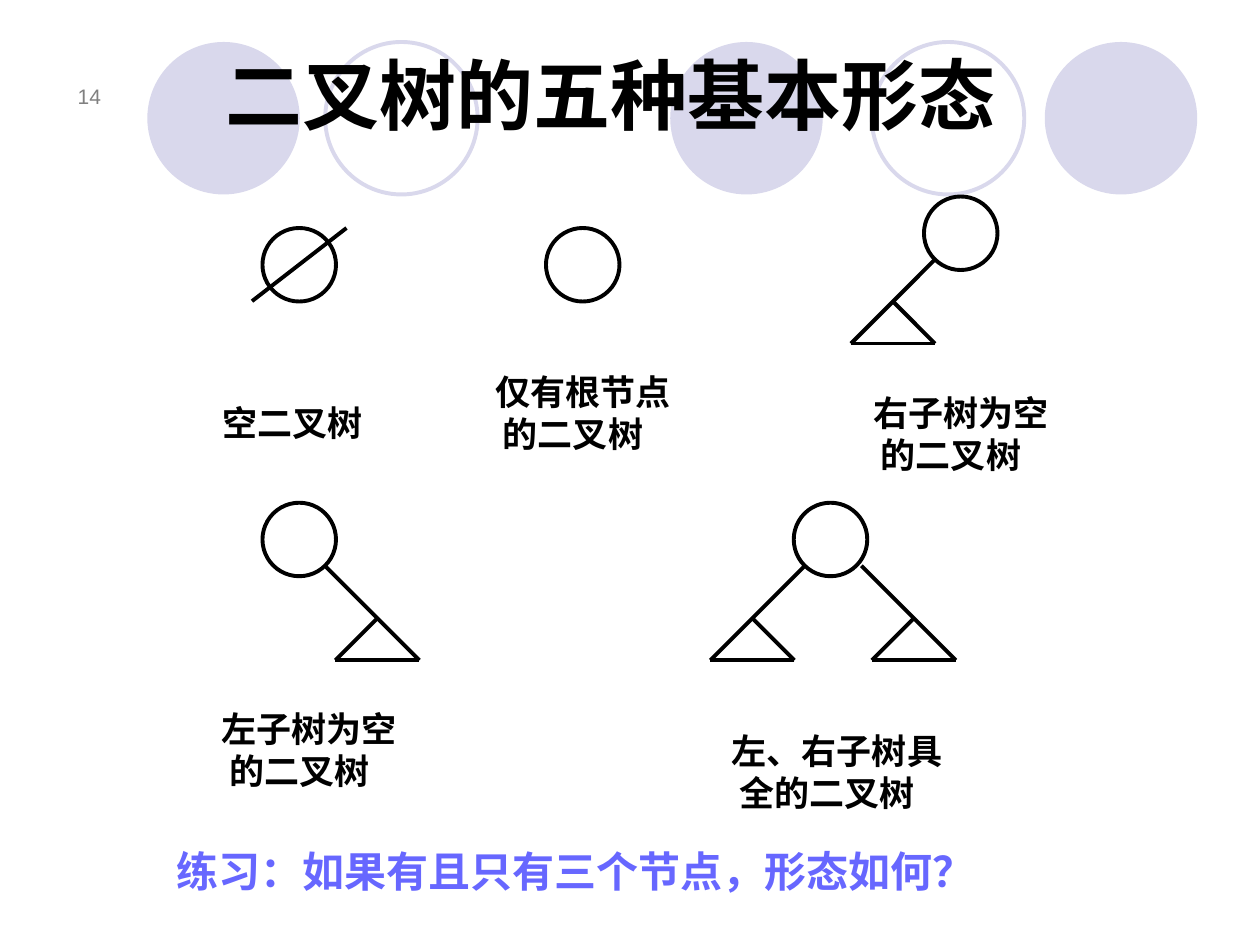
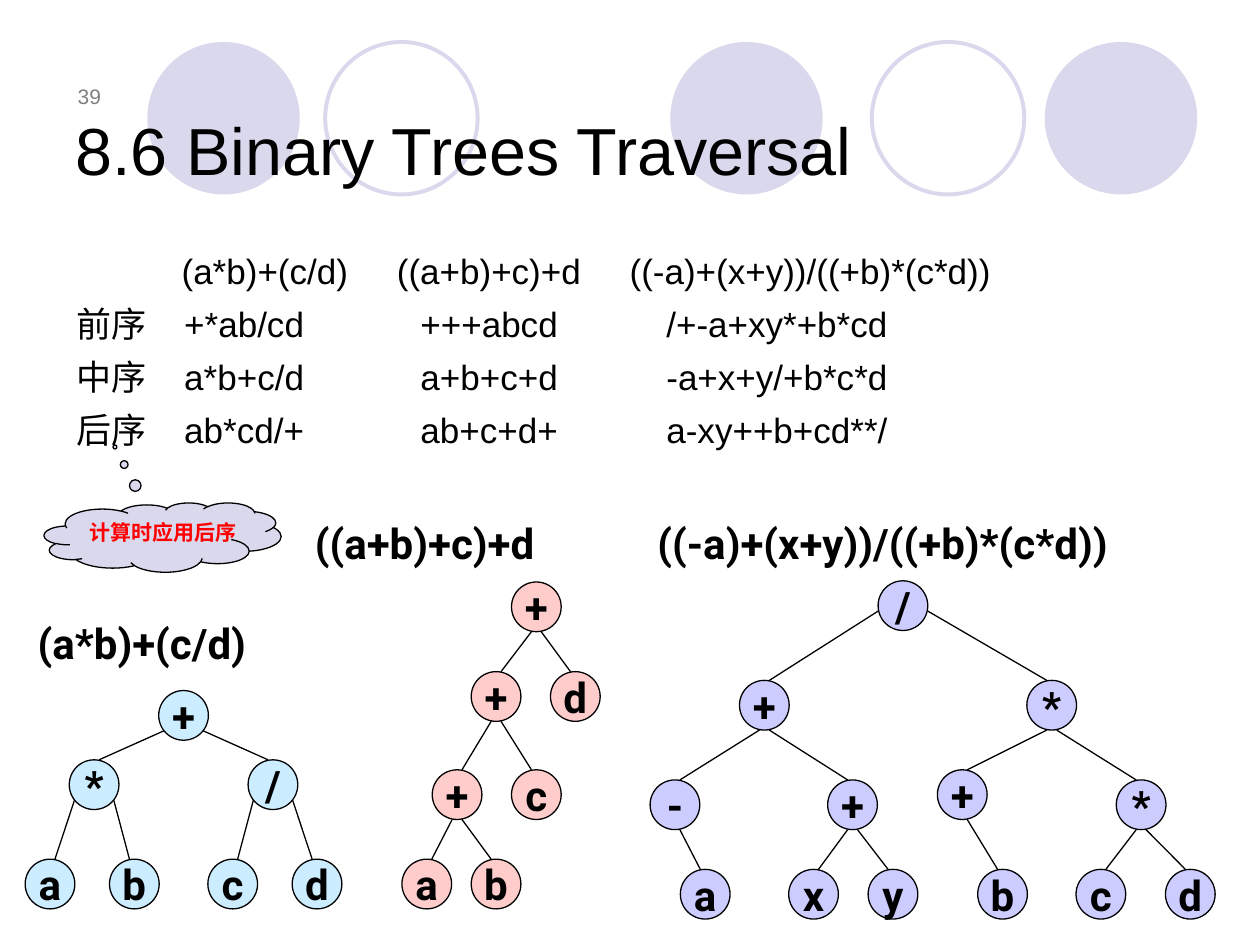
import pptx
import pptx.util
import pptx.dml.color
import pptx.enum.shapes
import pptx.enum.text
import pptx.oxml.ns
import lxml.etree

Pt = pptx.util.Pt
KIND = pptx.enum.shapes.MSO_SHAPE
ALIGN = pptx.enum.text.PP_ALIGN
ANCHOR = pptx.enum.text.MSO_ANCHOR
qn = pptx.oxml.ns.qn

# Shared look
BLACK, LILAC, GREY, BLUE, RED = "000000", "D9D8EC", "808080", "6767FF", "FF0000"
HAN, SANS, BOLD = "Noto Sans CJK SC", "Arial", "Roboto"
BAND = [(383, True), (597, True), (84.2, True), (498.2, False), (185.8, False)]
DISC, ROOT, NODE = 87.1, 42, 28.4

# Slide 1: root (left, top), branches (side, gap, length), label box, lines
FORMS = [
    ((150, 130.3), [], (120.2, 226, 102), ["空二叉树"]),
    ((312, 130.3), [], (275.8, 208, 138), ["仅有根节点", "的二叉树"]),
    ((528, 112.3), [(-1, 14.7, 48)], (491.8, 220.3, 150), ["右子树为空", "的二叉树"]),
    ((150, 287.3), [(1, 14.7, 54)], (119.5, 401, 144), ["左子树为空", "的二叉树"]),
    ((453.6, 287.3), [(-1, 14.7, 54), (1, 17.6, 54)], (411.1, 413.3, 144),
     ["左、右子树具", "全的二叉树"]),
]
SLASH = (198, 130.3, 144, 172.1)
TASK = "练习：如果有且只有三个节点，形态如何？"

# Slide 2: traversal orders, with the tab stops of each row
HEAD = ["", "(a*b)+(c/d)", "((a+b)+c)+d", "((-a)+(x+y))/((+b)*(c*d))"]
ROWS = [
    ["前序", "+*ab/cd", "+++abcd", "/+-a+xy*+b*cd"],
    ["中序", "a*b+c/d", "a+b+c+d", "-a+x+y/+b*c*d"],
    ["后序", "ab*cd/+", "ab+c+d+", "a-xy++b+cd**/"],
]
HEADTABS, ROWTABS = (60, 183, 316), (61.5, 196.5, 337)
HINT = "计算时应用后序"

# Trees: title box, fill, reach of root and of the rest,
# nodes as (label, left, top, index of parent)
TREES = [
    (HEAD[1], (14.4, 349.2, 167), "CCECFF", (11.2, 23), (11.2, 23), [
        ("+", 90.7, 394.6, None), ("*", 39.6, 434.2, 0), ("/", 141.8, 434.2, 0),
        ("a", 14.4, 491, 1), ("b", 62.6, 491, 1),
        ("c", 118.8, 491, 2), ("d", 167, 491, 2)]),
    (HEAD[2], (172.8, 292.3, 178.6), "FFCCCC", (2.8, NODE), (2.8, NODE), [
        ("+", 292.3, 332.6, None), ("+", 269.3, 383.8, 0), ("d", 314.6, 383.8, 0),
        ("+", 247, 439.9, 1), ("c", 292.3, 439.9, 1),
        ("a", 229.7, 491, 3), ("b", 269.3, 491, 3)]),
    (HEAD[3], (368.6, 292.3, 351.4), "CCCCFF", (14.2, 17.3), (2.8, NODE), [
        ("/", 501.8, 331.9, None), ("+", 422.6, 388.8, 0), ("*", 586.8, 388.8, 0),
        ("-", 371.5, 445.7, 1), ("+", 473, 445.7, 1),
        ("+", 535.7, 439.9, 2), ("*", 637.9, 445.7, 2),
        ("a", 388.8, 496.8, 3), ("x", 450.7, 496.8, 4), ("y", 496.1, 496.8, 4),
        ("b", 558.7, 496.8, 5), ("c", 614.9, 496.8, 6), ("d", 666, 496.8, 6)]),
]


def rgb(code):
    return pptx.dml.color.RGBColor.from_string(code)


def style(para, size, font, color, bold=False, han=False):
    for run in para.runs:
        run.font.size, run.font.name, run.font.bold = Pt(size), font, bold
        run.font.color.rgb = rgb(color)
        if han:
            east = lxml.etree.SubElement(run.font._element, qn("a:ea"))
            east.set("typeface", HAN)
    if han:
        para.line_spacing = Pt(1.2 * size)


def text(slide, box, lines, size, font, color=BLACK, bold=False, han=False,
         anchor=ANCHOR.TOP, align=ALIGN.LEFT):
    frame = slide.shapes.add_textbox(*map(Pt, box)).text_frame
    frame.word_wrap, frame.vertical_anchor = True, anchor
    frame.text = "\n".join(lines)
    for para in frame.paragraphs:
        para.alignment = align
        style(para, size, font, color, bold, han)
    return frame


def shape(slide, kind, box, fill=None, edge=None, width=0.75):
    part = slide.shapes.add_shape(kind, *map(Pt, box))
    part.shadow.inherit = False
    if fill:
        part.fill.solid()
        part.fill.fore_color.rgb = rgb(fill)
    else:
        part.fill.background()
    if edge:
        part.line.color.rgb, part.line.width = rgb(edge), Pt(width)
    else:
        part.line.fill.background()
    return part


def line(slide, ends, width):
    part = slide.shapes.add_connector(
        pptx.enum.shapes.MSO_CONNECTOR.STRAIGHT, *map(Pt, ends))
    part.line.color.rgb, part.line.width = rgb(BLACK), Pt(width)
    lxml.etree.SubElement(part._element.spPr, qn("a:effectLst"))


def base(deck, number):
    slide = deck.slides.add_slide(deck.slide_layouts[6])
    for left, solid in BAND:
        shape(slide, KIND.OVAL, (left, 24, DISC, DISC),
              LILAC if solid else None, None if solid else LILAC, 2.25)
    text(slide, (25.2, 31.7, 39.6, 33.8), [str(number)], 12, SANS, GREY,
         anchor=ANCHOR.BOTTOM, align=ALIGN.RIGHT)
    return slide


def branch(slide, root, side, gap, size):
    left, top = root
    x, y = left + ROOT / 2 + side * gap, top + 36
    tip, foot = x + side * size, y + size
    inner = tip - side * 48
    line(slide, (x, y, tip, foot), 2.25)
    line(slide, (inner, foot, tip, foot), 2.25)
    line(slide, (inner, foot, tip - side * 24, foot - 24), 2.25)


def forms(deck):
    slide = base(deck, 14)
    text(slide, (121.7, 23.8, 499, 59.8), ["二叉树的五种基本形态"], 44, HAN,
         bold=True, han=True)
    for root, arms, (left, top, width), lines in FORMS:
        shape(slide, KIND.OVAL, (*root, ROOT, ROOT), None, BLACK, 2.25)
        for arm in arms:
            branch(slide, root, *arm)
        frame = text(slide, (left, top, width, 7.2 + 24 * len(lines)), lines, 20,
                     HAN, bold=True, han=True)
        for para in frame.paragraphs[1:]:
            para._p.get_or_add_pPr().set("marL", str(Pt(4.5)))
    line(slide, SLASH, 2.25)
    text(slide, (93.6, 479.5, 550, 36), [TASK], 24, HAN, BLUE, True, True)


def tabs(para, stops):
    group = lxml.etree.SubElement(para._p.get_or_add_pPr(), qn("a:tabLst"))
    for stop in stops:
        tab = lxml.etree.SubElement(group, qn("a:tab"))
        tab.set("pos", str(Pt(stop)))
        tab.set("algn", "l")


def tree(slide, title, box, fill, first, rest, nodes):
    for label, left, top, _ in nodes:
        frame = shape(slide, KIND.OVAL, (left, top, NODE, NODE), fill, BLACK).text_frame
        frame.word_wrap, frame.vertical_anchor = False, ANCHOR.MIDDLE
        frame.text = label
        frame.paragraphs[0].alignment = ALIGN.CENTER
        style(frame.paragraphs[0], 24, BOLD, BLACK, True)
    # Edges lean towards each other at both ends
    for _, left, top, up in nodes:
        if up is None:
            continue
        dx, dy = rest if up else first
        high, side = nodes[up], 1 if left > nodes[up][1] else -1
        mid = NODE / 2
        line(slide, (left + mid - side * 2.8, top,
                     high[1] + mid + side * dx, high[2] + dy), 0.75)
    text(slide, (*box, 36), [title], 24, BOLD, bold=True)


def orders(deck):
    slide = base(deck, 39)
    text(slide, (36, 21.6, 648, 90), ["8.6 Binary Trees Traversal"], 38, SANS,
         anchor=ANCHOR.BOTTOM)
    rows = [HEAD] + ROWS
    frame = text(slide, (36.7, 132.5, 648, 130), ["\t".join(row) for row in rows],
                 20, SANS)
    for spot, para in enumerate(frame.paragraphs):
        tabs(para, ROWTABS if spot else HEADTABS)
        para.line_spacing = Pt(30.3)
    for item in TREES:
        tree(slide, *item)
    # Thought cloud
    cloud = shape(slide, KIND.CLOUD_CALLOUT, (25.2, 287.3, 135.4, 39.6), LILAC, BLACK)
    cloud.adjustments[0], cloud.adjustments[1] = -0.201, -1.306
    note = cloud.text_frame
    note.word_wrap, note.vertical_anchor = False, ANCHOR.TOP
    note.text = HINT
    note.paragraphs[0].alignment = ALIGN.LEFT
    style(note.paragraphs[0], 12, "Times New Roman", RED, True, True)


def main():
    deck = pptx.Presentation()
    deck.slide_width, deck.slide_height = Pt(720), Pt(540)
    forms(deck)
    orders(deck)
    deck.save("out.pptx")


if __name__ == "__main__":
    main()
